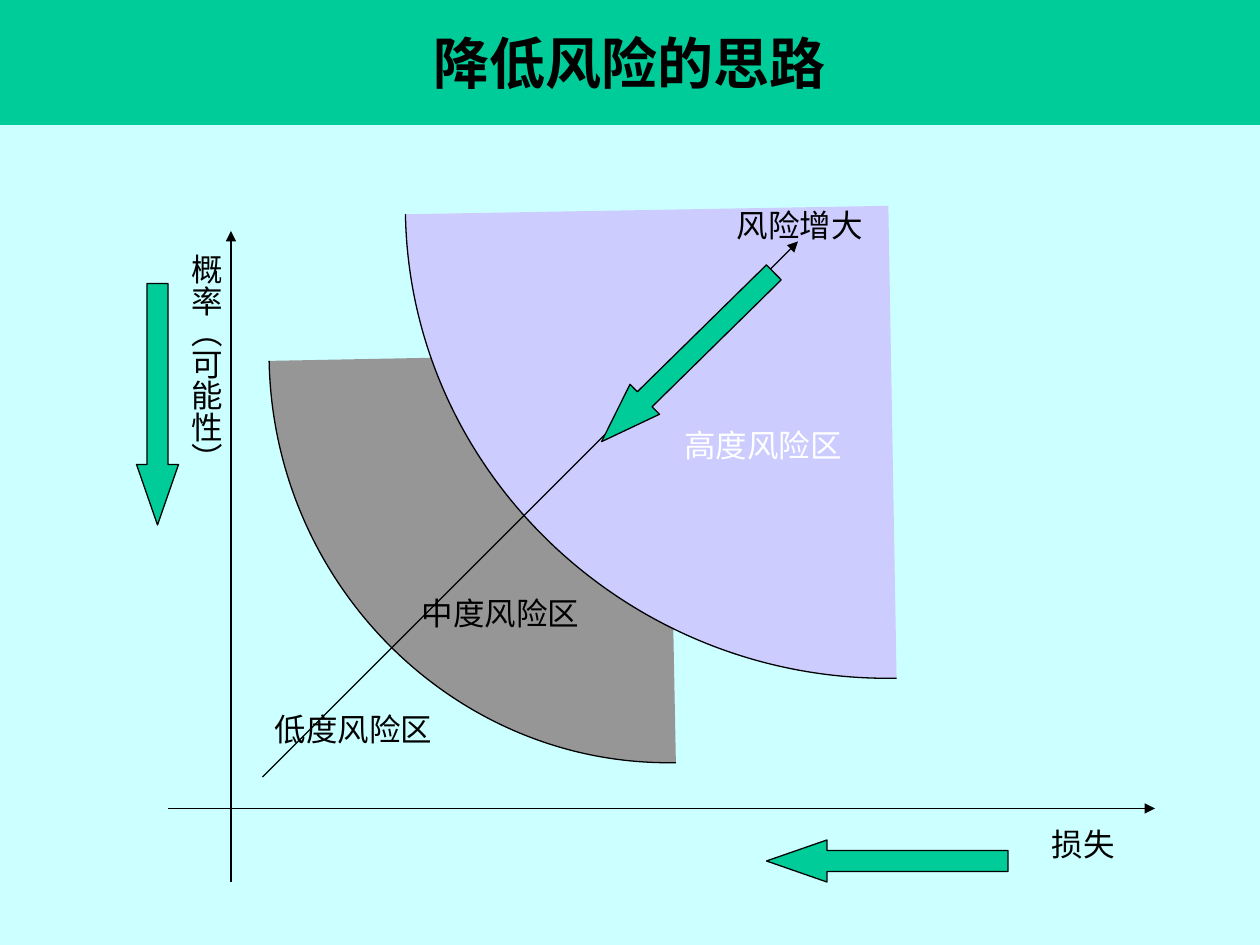
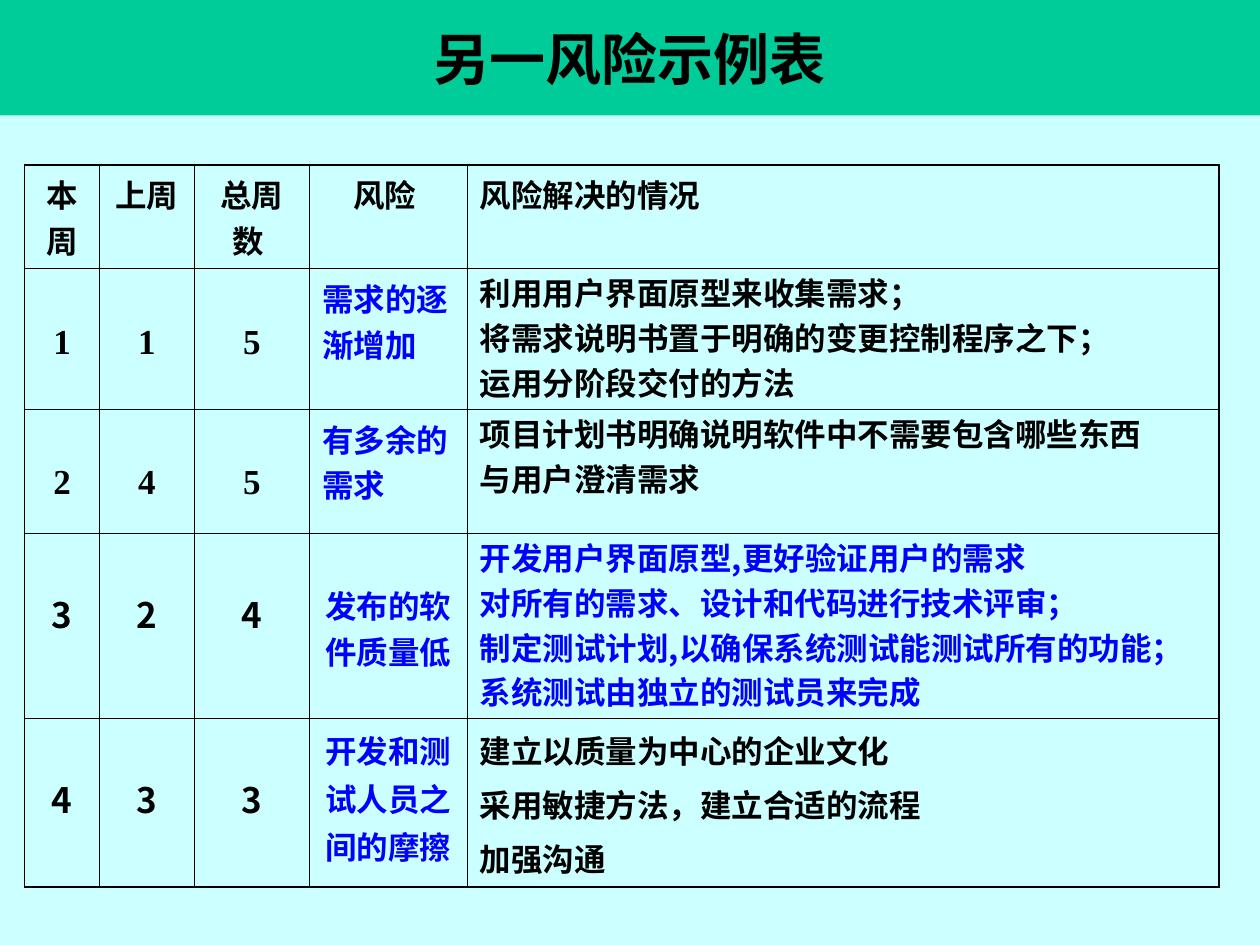
from copy import deepcopy
from dataclasses import dataclass

from lxml.etree import SubElement
from pptx import Presentation
from pptx.dml.color import RGBColor
from pptx.enum.shapes import MSO_CONNECTOR, MSO_SHAPE
from pptx.enum.text import MSO_ANCHOR, PP_ALIGN
from pptx.oxml.ns import qn
from pptx.util import Inches, Pt

COLORS = {
    "page": "CCFFFF",
    "accent": "00CC99",
    "ink": "000000",
    "medium_risk": "969696",
    "high_risk": "CCCCFF",
    "white": "FFFFFF",
    "emphasis": "0000FF",
}
LATIN = "Times New Roman"
HAN = "Noto Sans CJK SC"
COLUMNS, ROWS = 120, 90
CELL = Inches(10) / COLUMNS
THIN, THICK, LINE = 0.45, 1.08, 0.75
NUMBER_DROP, RISK_DROP = 0.43, 0.39
CURVE = 0.55

HEADINGS = ["本周", "上周 ", "总周数 ", "风险 ", "风险解决的情况"]
RISKS = [
    (["1", "1", "5"], "需求的逐渐增加",
     ["利用用户界面原型来收集需求；", "将需求说明书置于明确的变更控制程序之下；", "运用分阶段交付的方法"]),
    (["2", "4", "5"], "有多余的需求",
     ["项目计划书明确说明软件中不需要包含哪些东西", "与用户澄清需求"]),
    (["3", "2", "4"], "发布的软件质量低",
     ["开发用户界面原型,更好验证用户的需求", "对所有的需求、设计和代码进行技术评审；",
      "制定测试计划,以确保系统测试能测试所有的功能；", "系统测试由独立的测试员来完成"]),
    (["4", "3", "3"], "开发和测试人员之间的摩擦",
     ["建立以质量为中心的企业文化", "采用敏捷方法，建立合适的流程", "加强沟通"]),
]
RISK_STYLES = [
    dict(number_font=LATIN, align=PP_ALIGN.LEFT, drop=0.05, spacing=0.85, risk_spacing=1, color="ink"),
    dict(number_font=LATIN, align=PP_ALIGN.LEFT, drop=0.05, spacing=0.85, risk_spacing=1, color="ink"),
    dict(number_font=HAN, align=PP_ALIGN.CENTER, drop=RISK_DROP, spacing=0.85, risk_spacing=1, color="emphasis"),
    dict(number_font=HAN, align=PP_ALIGN.CENTER, drop=0.05, spacing=1.05, risk_spacing=1.05, color="ink"),
]


def cells(count):
    """Turn a number of grid cells into a length."""
    return round(count * CELL)


@dataclass
class Region:
    """A part of a slide whose contents are placed from its top left corner."""
    slide: object
    left: float
    top: float

    def point(self, x, y):
        """Give the slide position of a grid point."""
        return cells(self.left + x), cells(self.top + y)

    def box(self, x, y, width, height):
        """Give the slide position and size of a grid box."""
        return *self.point(x, y), cells(width), cells(height)


def rgb(name):
    """Look up a colour."""
    return RGBColor.from_string(COLORS[name])


def style(paragraph, size=18, color="ink", bold=False, latin=LATIN, align=PP_ALIGN.LEFT):
    """Format one paragraph, with the same Chinese font everywhere."""
    paragraph.alignment = align
    font = paragraph.font
    font.size, font.bold = Pt(size), bold
    font.color.rgb = rgb(color)
    font.name = latin
    defaults = paragraph._p.pPr.find(qn("a:defRPr"))
    SubElement(defaults, qn("a:ea"), typeface=HAN)


def paint(shape, fill):
    """Give a shape its fill and a thin dark outline without shadow."""
    shape.shadow.inherit = False
    shape.fill.solid()
    shape.fill.fore_color.rgb = rgb(fill)
    shape.line.color.rgb = rgb("ink")
    shape.line.width = Pt(LINE)


def add_titled_slide(deck, text, band_rows):
    """Add a slide with its title in a full-width band."""
    slide = deck.slides.add_slide(deck.slide_layouts[5])
    title = slide.shapes.title
    title.left, title.top = 0, 0
    title.width, title.height = cells(COLUMNS), cells(band_rows)
    title.fill.solid()
    title.fill.fore_color.rgb = rgb("accent")
    title.text = text
    title.text_frame.vertical_anchor = MSO_ANCHOR.MIDDLE
    style(title.text_frame.paragraphs[0], 32, bold=True, align=PP_ALIGN.CENTER)
    return slide


def add_label(region, text, box, color="ink", vertical=False):
    """Add a label, written downwards and centred if vertical."""
    frame = region.slide.shapes.add_textbox(*region.box(*box)).text_frame
    frame.word_wrap = True
    if vertical:
        frame.margin_left = frame.margin_right = Inches(0.05)
        frame.margin_top = frame.margin_bottom = Inches(0.1)
        frame._txBody.bodyPr.set("vert", "eaVert")
    frame.text = text
    style(frame.paragraphs[0], color=color, align=PP_ALIGN.CENTER if vertical else PP_ALIGN.LEFT)


def add_axis(region, start, end):
    """Add a thin line with an arrowhead at its end."""
    axis = region.slide.shapes.add_connector(
        MSO_CONNECTOR.STRAIGHT, *region.point(*start), *region.point(*end))
    axis.line.color.rgb = rgb("ink")
    axis.line.width = Pt(LINE)
    SubElement(axis.line._get_or_add_ln(), qn("a:tailEnd"), type="triangle")
    SubElement(axis._element.spPr, qn("a:effectLst"))


def add_block_arrow(region, kind, box, rotation=0):
    """Add a block arrow with a long head."""
    arrow = region.slide.shapes.add_shape(kind, *region.box(*box))
    arrow.adjustments[0], arrow.adjustments[1] = 0.5, 1.44
    arrow.rotation = rotation
    paint(arrow, "accent")


def add_sector(region, box, fill, rotation):
    """Add a quarter ellipse whose curved edge alone is outlined."""
    left, top, width, height = region.box(*box)
    right, bottom = left + width, top + height
    builder = region.slide.shapes.build_freeform(right, bottom)
    builder.add_line_segments([(left, top), (right, top)], close=True)
    sector = builder.convert_to_shape()
    sector.rotation = rotation
    paint(sector, fill)

    wedge = sector._element.spPr.find(".//" + qn("a:path"))
    start, chord, side, closing = wedge
    curve = wedge.makeelement(qn("a:cubicBezTo"))
    for x, y in ((width * (1 - CURVE), height), (0, height * CURVE), (0, 0)):
        SubElement(curve, qn("a:pt"), x=str(round(x)), y=str(round(y)))
    wedge.replace(chord, curve)
    edge = deepcopy(wedge)
    for straight in list(edge)[2:]:
        edge.remove(straight)
    edge.set("fill", "none")
    wedge.set("stroke", "0")
    wedge.addprevious(edge)


def draw_risk_map(region):
    """Draw the risk zones between the loss and probability axes."""
    add_axis(region, (4, 59), (98, 59))
    add_axis(region, (10, 66), (10, 4))
    add_label(region, "损失", (87, 60, 15, 4.8))
    add_label(region, "概率（可能性）", (4, 5, 6, 28), vertical=True)
    add_sector(region, (14, 16, 38, 39), "medium_risk", -1.1)
    add_sector(region, (27, 2, 46, 45), "high_risk", -1)
    add_axis(region, (13, 56), (64, 5))
    add_label(region, "风险增大", (57, 1, 21, 4.8))
    for zone, x, y, color in (
        ("高度风险区", 52, 22, "white"),
        ("中度风险区", 27, 38, "ink"),
        ("低度风险区", 13, 49, "ink"),
    ):
        add_label(region, zone, (x, y, 19, 4.8), color)
    add_block_arrow(region, MSO_SHAPE.DOWN_ARROW, (1, 9, 4, 23))
    add_block_arrow(region, MSO_SHAPE.LEFT_ARROW, (61, 62, 23, 4))
    add_block_arrow(region, MSO_SHAPE.LEFT_ARROW, (42, 14, 23, 4), 315.5)


def write_cell(cell, lines, drop=0.05, spacing=1, gap=3.4, **font):
    """Write bold paragraphs into a cell, starting at a given drop."""
    cell.margin_top = Inches(drop)
    cell.text = "\n".join(lines)
    for index, paragraph in enumerate(cell.text_frame.paragraphs):
        paragraph.line_spacing = spacing
        if index:
            paragraph.space_before = Pt(gap)
        style(paragraph, bold=True, **font)


def rule_cell(cell, outer_sides):
    """Draw the borders of a cell, thick on the table's outer sides."""
    properties = cell._tc.get_or_add_tcPr()
    for side in "LRTB":
        width = THICK if side in outer_sides else THIN
        border = SubElement(properties, qn(f"a:ln{side}"), w=str(Pt(width)))
        fill = SubElement(border, qn("a:solidFill"))
        SubElement(fill, qn("a:srgbClr"), val=COLORS["ink"])
    cell.fill.background()


def draw_risk_table(region):
    """Draw the weekly risk list."""
    widths = [7.15, 9, 11, 15, 71.6]
    heights = [8.4, 11.5, 11.8, 17.15, 15.6]
    box = region.box(0, 0, sum(widths), sum(heights))
    table = region.slide.shapes.add_table(len(heights), len(widths), *box).table
    table.first_row = table.horz_banding = False
    for column, width in zip(table.columns, widths):
        column.width = cells(width)
    for row, height in zip(table.rows, heights):
        row.height = cells(height)

    last_row, last_column = len(heights) - 1, len(widths) - 1
    for r in range(last_row + 1):
        for c in range(last_column + 1):
            edges = {"L": c == 0, "R": c == last_column, "T": r == 0, "B": r == last_row}
            rule_cell(table.cell(r, c), [side for side, outer in edges.items() if outer])

    for c, heading in enumerate(HEADINGS):
        align = PP_ALIGN.LEFT if c == last_column else PP_ALIGN.CENTER
        write_cell(table.cell(0, c), [heading], latin=HAN, align=align)
    for r, ((numbers, risk, actions), look) in enumerate(zip(RISKS, RISK_STYLES), 1):
        for c, number in enumerate(numbers):
            write_cell(table.cell(r, c), [number], NUMBER_DROP, size=20,
                       latin=look["number_font"], align=PP_ALIGN.CENTER)
        write_cell(table.cell(r, 3), [risk], look["drop"], look["risk_spacing"],
                   color="emphasis", latin=HAN, align=look["align"])
        write_cell(table.cell(r, 4), actions, spacing=look["spacing"],
                   color=look["color"], latin=HAN)


def main():
    """Build the two slides and save them."""
    deck = Presentation()
    deck.slide_width, deck.slide_height = cells(COLUMNS), cells(ROWS)
    page = deck.slide_master.background.fill
    page.solid()
    page.fore_color.rgb = rgb("page")
    draw_risk_map(Region(add_titled_slide(deck, "降低风险的思路", 11.9), 12, 18))
    draw_risk_table(Region(add_titled_slide(deck, "另一风险示例表", 11), 2.35, 15.7))
    deck.save("out.pptx")


if __name__ == "__main__":
    main()
